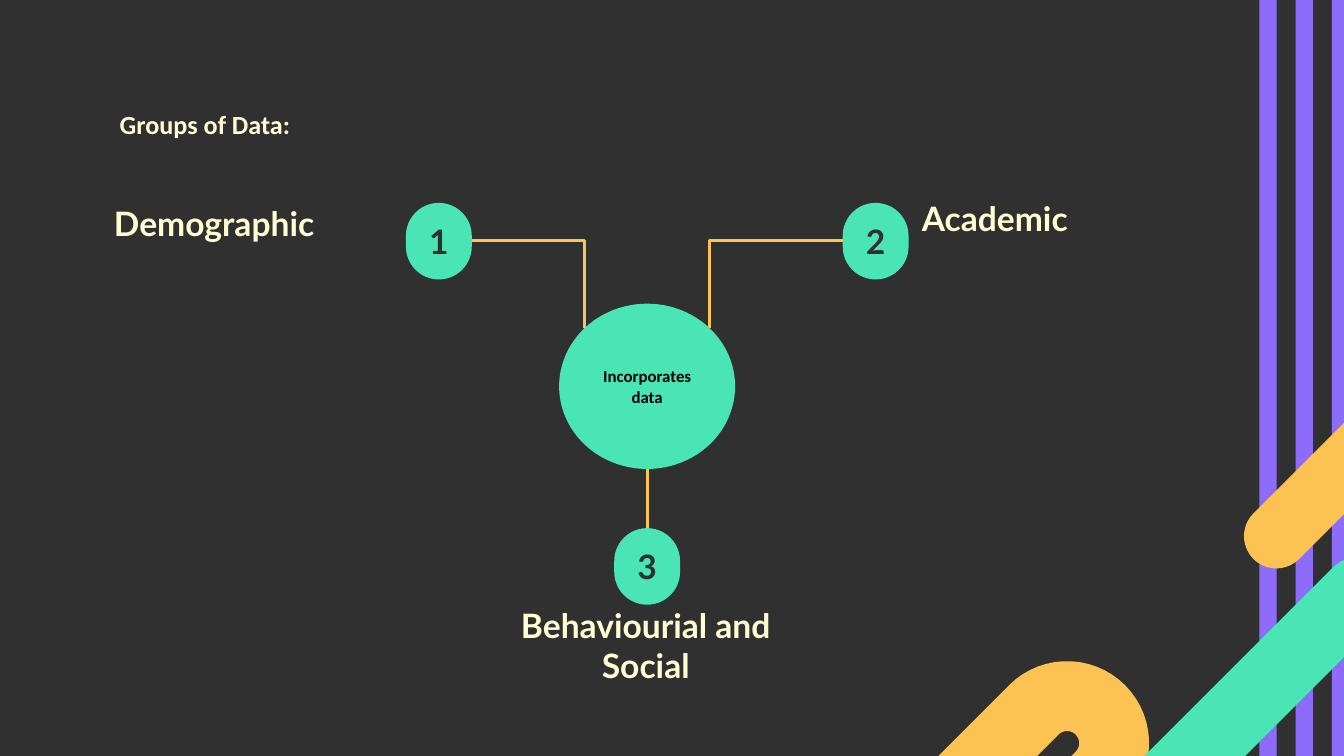
from math import cos, radians, sin
from typing import NamedTuple

from lxml import etree
from pptx import Presentation
from pptx import util as u
from pptx.dml.color import RGBColor
from pptx.enum import shapes as kinds, text as tx
from pptx.oxml.ns import qn

COLORS = {"dark": "303030", "purple": "8D6CFA", "yellow": "FCC353",
          "green": "49E5B5", "cream": "FFFED2", "black": "000000"}


class Box(NamedTuple):
    left: float
    top: float
    width: float
    height: float

    def lengths(self) -> list:
        return [u.Inches(value) for value in self]


class Group(NamedTuple):
    number: str
    name: str
    badge: Box
    label: Box
    align: tx.PP_ALIGN


class Band(NamedTuple):
    color: str
    box: Box
    rotation: float


GROUPS = [
    Group("1", "Demographic", Box(3.02, 1.51, 0.49, 0.57),
          Box(0.75, 1.55, 2.13, 0.36), tx.PP_ALIGN.LEFT),
    Group("2", "Academic", Box(6.27, 1.51, 0.49, 0.57),
          Box(6.76, 1.51, 2.49, 0.36), tx.PP_ALIGN.LEFT),
    Group("3", "Behaviourial and Social", Box(4.57, 3.93, 0.49, 0.57),
          Box(3.6, 4.84, 2.41, 0.36), tx.PP_ALIGN.CENTER),
]
BANDS = [Band("green", Box(8.84, 3.73, 0.53, 3.36), 45),
         Band("yellow", Box(9.62, 2.87, 0.48, 1.51), 225)]
HUB = Box(4.16, 2.26, 1.31, 1.23)
HEADING = Box(0.79, 0.71, 8.43, 0.44)


def rgb(name: str) -> RGBColor:
    return RGBColor.from_string(COLORS[name])


def paint(shape, color: str) -> None:
    shape.shadow.inherit = False
    shape.fill.solid()
    shape.fill.fore_color.rgb = rgb(color)
    shape.line.fill.background()


def add_filled(slide, kind, box: Box, color: str):
    shape = slide.shapes.add_shape(kind, *box.lengths())
    paint(shape, color)
    return shape


def write(shape, words: str, size: float, font: str, color: str,
          align: tx.PP_ALIGN, anchor: tx.MSO_ANCHOR) -> None:
    frame = shape.text_frame
    frame.word_wrap = True
    frame.auto_size = tx.MSO_AUTO_SIZE.NONE
    frame.vertical_anchor = anchor
    frame.margin_left = frame.margin_right = u.Inches(0.1)
    frame.margin_top = frame.margin_bottom = u.Inches(0.1)
    frame.text = words
    paragraph = frame.paragraphs[0]
    paragraph.alignment = align
    paragraph.font.size = u.Pt(size)
    paragraph.font.name = font
    paragraph.font.bold = True
    paragraph.font.color.rgb = rgb(color)


def arc(x: float, y: float, radius: float, start: int, end: int) -> list:
    step = 6 if end > start else -6
    return [(u.Inches(x + radius * cos(radians(angle))),
             u.Inches(y + radius * sin(radians(angle))))
            for angle in range(start, end + step, step)]


def add_decoration(slide) -> None:
    for column in range(3):
        stripe = Box(9.37 + 0.27 * column, -0.41, 0.13, 6.88)
        add_filled(slide, kinds.MSO_SHAPE.RECTANGLE, stripe, "purple")

    loop = (arc(7.94, 5.53, 0.61, 45, -135) + arc(5.7, 7.28, 0.26, -135, -315)
            + arc(7.94, 5.53, 0.09, -135, 45) + arc(5.9, 8.07, 0.26, -135, -315))
    builder = slide.shapes.build_freeform(*loop[0])
    builder.add_line_segments(loop[1:], close=True)
    paint(builder.convert_to_shape(), "yellow")

    for band in BANDS:
        shape = add_filled(slide, kinds.MSO_SHAPE.ROUND_2_SAME_RECTANGLE, band.box, band.color)
        shape.adjustments[0] = 0.5
        shape.rotation = band.rotation


def add_heading(slide) -> None:
    heading = slide.shapes.title
    heading.left, heading.top, heading.width, heading.height = HEADING.lengths()
    properties = heading.text_frame.paragraphs[0]._p.get_or_add_pPr()
    properties.set("marL", str(u.Inches(0.54)))
    properties.set("indent", str(u.Inches(-0.37)))
    bullet_color = etree.SubElement(properties, qn("a:buClr"))
    etree.SubElement(bullet_color, qn("a:srgbClr"), val=COLORS["cream"])
    etree.SubElement(properties, qn("a:buFont"), typeface="Calibri")
    etree.SubElement(properties, qn("a:buChar"), char="●")
    write(heading, "Groups of Data:", 14, "Calibri", "cream",
          tx.PP_ALIGN.LEFT, tx.MSO_ANCHOR.TOP)


def add_group(slide, group: Group):
    label = slide.shapes.add_textbox(*group.label.lengths())
    write(label, group.name, 18, "Lato", "cream", group.align, tx.MSO_ANCHOR.BOTTOM)
    badge = add_filled(slide, kinds.MSO_SHAPE.ROUNDED_RECTANGLE, group.badge, "green")
    badge.adjustments[0] = 0.5
    write(badge, group.number, 18, "Lato", "dark", tx.PP_ALIGN.CENTER, tx.MSO_ANCHOR.MIDDLE)
    return badge


def add_link(slide, kind, start: tuple, end: tuple):
    points = [u.Inches(value) for value in start + end]
    link = slide.shapes.add_connector(kind, *points)
    link.line.color.rgb = rgb("yellow")
    link.line.width = u.Pt(1.5)
    etree.SubElement(link.element.spPr, qn("a:effectLst"))
    return link


def main() -> None:
    """Build the slide that shows the groups of data around their hub."""
    deck = Presentation()
    deck.slide_width, deck.slide_height = u.Inches(10), u.Inches(5.625)
    slide = deck.slides.add_slide(deck.slide_layouts[5])
    slide.background.fill.solid()
    slide.background.fill.fore_color.rgb = rgb("dark")

    add_decoration(slide)
    add_heading(slide)
    badges = [add_group(slide, group) for group in GROUPS]
    hub = add_filled(slide, kinds.MSO_SHAPE.OVAL, HUB, "green")
    write(hub, "Incorporates data", 9, "Calibri", "black",
          tx.PP_ALIGN.CENTER, tx.MSO_ANCHOR.MIDDLE)

    for start, end in (((3.51, 1.79), (4.35, 2.44)), ((6.27, 1.79), (5.28, 2.44))):
        elbow = add_link(slide, kinds.MSO_CONNECTOR.ELBOW, start, end)
        elbow.element.spPr.find(qn("a:prstGeom")).set("prst", "bentConnector2")
    middle = HUB.left + HUB.width / 2
    stem = add_link(slide, kinds.MSO_CONNECTOR.STRAIGHT, (middle, 3.49), (middle, 3.93))
    stem.end_connect(badges[2], 0)

    deck.save("out.pptx")


if __name__ == "__main__":
    main()
